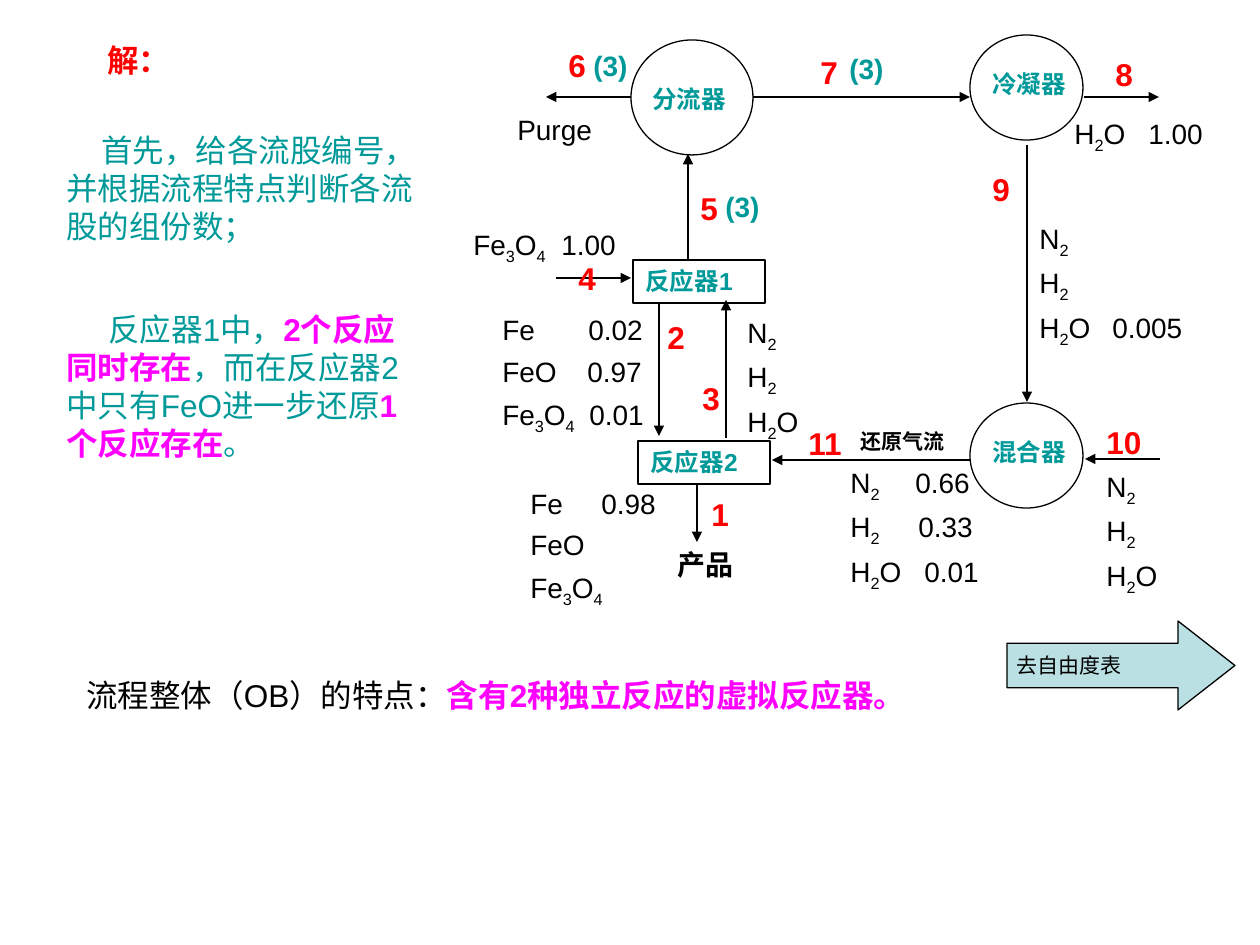
from itertools import groupby

from lxml.etree import SubElement
from pptx import Presentation
from pptx.dml.color import RGBColor
from pptx.enum.shapes import MSO_CONNECTOR, MSO_SHAPE
from pptx.enum.text import MSO_ANCHOR, MSO_AUTO_SIZE, PP_ALIGN
from pptx.oxml.ns import qn
from pptx.util import Pt

PX = 914400 / 126
COLORS = {
    "black": "000000",
    "red": "FF0000",
    "teal": "009999",
    "magenta": "FF00FF",
    "pale": "BBE0E3",
}

UNIT = {"size": 14, "color": "teal", "bold": True}
NUMBER = {"size": 18, "color": "red", "bold": True}
COUNT = {"size": 16, "color": "teal", "bold": True}
COMPONENT = {"size": 16, "color": "black", "bold": False}
PRODUCT = {"size": 16, "color": "black", "bold": True}
GAS = {"size": 12, "color": "black", "bold": True}
LINK = {"size": 12, "color": "black", "bold": False}
PLAIN = {"size": 18, "color": "black", "bold": False}
BODY = {"size": 18, "color": "teal", "bold": False}
STRONG = {"size": 18, "color": "magenta", "bold": True}

# name, circle (left, top, width, height), label (left, top)
VESSELS = [
    ("分流器", (171, 10, 122, 115), (180, 48)),
    ("混合器", (510, 373, 113, 105), (520, 401)),
    ("冷凝器", (510, 5, 113, 105), (520, 33)),
]
REACTORS = [("反应器1", 173, 230), ("反应器2", 178, 411)]

# number, arrow (from x, y, to x, y), number label (left, top, width)
STREAMS = [
    (1, (237, 454, 237, 512), (239, 459, 47)),
    (2, (199, 272, 199, 406), (195, 282, 38)),
    (3, (266, 408, 266, 270), (230, 343, 38)),
    (4, (96, 248, 171, 248), (106, 223, 38)),
    (5, (228, 230, 228, 124), (228, 153, 57)),
    (6, (171, 67, 86, 67), (96, 10, 66)),
    (7, (293, 67, 510, 67), (348, 17, 57)),
    (8, (624, 67, 699, 67), (643, 19, 38)),
    (9, (567, 115, 567, 372), (520, 134, 47)),
    (10, (700, 429, 625, 429), (634, 387, 62)),
    (11, (510, 430, 312, 430), (336, 388, 66)),
]
COUNT_SPOTS = [(377, 15), (121, 12), (253, 153)]

# box (left, top, width, height), line spacing, rows of formula, value, tab stop
GASES = [("N2", "", 0), ("H2", "", 0), ("H2O", "", 0)]
COMPOSITIONS = [
    ((1, 191, 170, 52), 1, [("Fe3O4", "1.00", 88)]),
    ((30, 286, 179, 122), 0.7,
     [("Fe", "0.02", 86), ("FeO", "0.97", 85), ("Fe3O4", "0.01", 87)]),
    ((58, 459, 160, 122), 0.7, [("Fe", "0.98", 71), ("FeO", "", 0), ("Fe3O4", "", 0)]),
    ((275, 286, 84, 128), 0.7, GASES),
    ((378, 436, 160, 128), 0.7,
     [("N2", "0.66", 65), ("H2", "0.33", 68), ("H2O", "0.01", 74)]),
    ((634, 440, 84, 128), 0.7, GASES),
    ((567, 192, 179, 128), 0.7, GASES[:2] + [("H2O", "0.005", 73)]),
    ((602, 87, 160, 39), 0.7, [("H2O", "1.00", 74)]),
]
CAPTIONS = [
    ("Purge", (45, 76, 103, 47), COMPONENT),
    ("产品", (205, 511, 84, 47), PRODUCT),
    ("还原气流", (388, 392, 132, 38), GAS),
]


def px(length):
    return round(length * PX)


def place(origin, box):
    """Turn a box relative to the origin into EMU on the page."""
    left, top, width, height = box
    return [px(n) for n in (origin[0] + left, origin[1] + top, width, height)]


def color(name):
    return RGBColor.from_string(COLORS[name])


def add_span(para, text, style):
    span = para.add_run()
    span.text = text
    span.font.color.rgb = color(style["color"])
    values = {"name": "Arial", "size": Pt(style["size"]), "bold": style["bold"]}
    for name, value in values.items():
        setattr(span.font, name, value)
    return span


def prepare_frame(shape):
    frame = shape.text_frame
    values = {
        "word_wrap": True,
        "auto_size": MSO_AUTO_SIZE.SHAPE_TO_FIT_TEXT,
        "vertical_anchor": MSO_ANCHOR.TOP,
    }
    for name, value in values.items():
        setattr(frame, name, value)
    frame.paragraphs[0].alignment = PP_ALIGN.LEFT
    return frame


def add_text(page, origin, box, spans, indent=0):
    frame = prepare_frame(page.shapes.add_textbox(*place(origin, box)))
    para = frame.paragraphs[0]
    if indent:
        para._p.get_or_add_pPr().set("indent", str(px(indent)))
    for text, style in spans:
        add_span(para, text, style)


def add_outline(page, origin, kind, box, fill=None):
    shape = page.shapes.add_shape(kind, *place(origin, box))
    shape.shadow.inherit = False
    if fill:
        shape.fill.solid()
        shape.fill.fore_color.rgb = color(fill)
    else:
        shape.fill.background()
    shape.line.color.rgb = color("black")
    shape.line.width = Pt(0.75)
    return shape


def add_arrow(page, origin, ends):
    x, y = origin
    x1, y1, x2, y2 = ends
    arrow = page.shapes.add_connector(
        MSO_CONNECTOR.STRAIGHT, px(x + x1), px(y + y1), px(x + x2), px(y + y2))
    arrow.line.color.rgb = color("black")
    arrow.line.width = Pt(0.75)
    SubElement(arrow.line._get_or_add_ln(), qn("a:tailEnd"), type="triangle")
    SubElement(arrow._element.spPr, qn("a:effectLst"))


def add_composition(page, origin, box, spacing, rows):
    """List formulas with lowered digits, each followed by its tabbed value."""
    frame = prepare_frame(page.shapes.add_textbox(*place(origin, box)))
    for index, (formula, value, stop) in enumerate(rows):
        para = frame.add_paragraph() if index else frame.paragraphs[0]
        para.line_spacing = spacing
        if index:
            para.space_before = Pt(10)
        if value:
            tabs = SubElement(para._p.get_or_add_pPr(), qn("a:tabLst"))
            SubElement(tabs, qn("a:tab"), pos=str(px(stop)), algn="l")
        for lowered, letters in groupby(formula, str.isdigit):
            span = add_span(para, "".join(letters), COMPONENT)
            if lowered:
                span._r.get_or_add_rPr().set("baseline", "-25000")
        if value:
            add_span(para, "\t" + value, COMPONENT)


def draw_flowsheet(page, origin):
    for name, circle, (left, top) in VESSELS:
        add_outline(page, origin, MSO_SHAPE.OVAL, circle)
        add_text(page, origin, (left, top, 103, 43), [(name, UNIT)])
    for name, left, top in REACTORS:
        reactor = add_outline(page, origin, MSO_SHAPE.RECTANGLE, (left, top, 132, 43))
        add_span(prepare_frame(reactor).paragraphs[0], name, UNIT)
    for number, ends, (left, top, width) in STREAMS:
        add_arrow(page, origin, ends)
        add_text(page, origin, (left, top, width, 50), [(str(number), NUMBER)])
    for left, top in COUNT_SPOTS:
        add_text(page, origin, (left, top, 69, 47), [("(3)", COUNT)])
    for box, spacing, rows in COMPOSITIONS:
        add_composition(page, origin, box, spacing, rows)
    for text, box, style in CAPTIONS:
        add_text(page, origin, box, [(text, style)])


def write_solution(page, origin):
    add_text(page, origin, (41, 0, 100, 50), [("解：", NUMBER)])
    add_text(page, origin, (0, 90, 387, 126),
             [("首先，给各流股编号，并根据流程特点判断各流股的组份数；", BODY)], indent=35)
    add_text(page, origin, (0, 269, 377, 164), [
        ("反应器1中，", BODY),
        ("2个反应同时存在", STRONG),
        ("，而在反应器2中只有FeO进一步还原", BODY),
        ("1个反应存在", STRONG),
        ("。", BODY),
    ], indent=42)


def write_conclusion(page, origin):
    add_text(page, origin, (0, 49, 912, 50), [
        ("流程整体（OB）的特点：", PLAIN),
        ("含有2种独立反应的虚拟反应器。", STRONG),
    ])
    arrow = add_outline(page, origin, MSO_SHAPE.RIGHT_ARROW, (933, 0, 228, 89), "pale")
    arrow.adjustments[0] = 0.5
    arrow.adjustments[1] = 0.64
    add_text(page, origin, (930, 25, 149, 38), [("去自由度表", LINK)])


def main():
    deck = Presentation()
    deck.slide_width, deck.slide_height = px(1260), px(945)
    page = deck.slides.add_slide(deck.slide_layouts[6])
    write_solution(page, (54, 35))
    draw_flowsheet(page, (460, 30))
    write_conclusion(page, (74, 621))
    deck.save("out.pptx")


if __name__ == "__main__":
    main()
